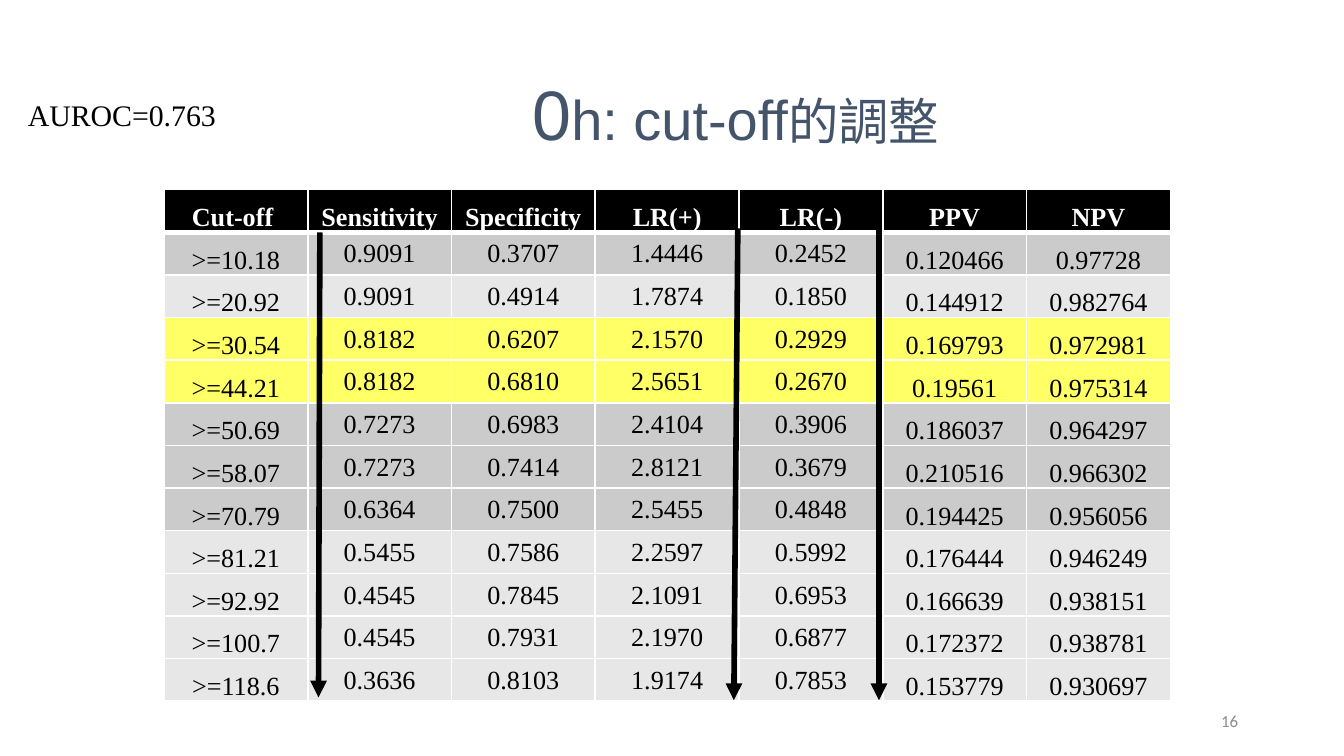
from lxml import etree
from pptx import Presentation
from pptx.dml.color import RGBColor
from pptx.enum.shapes import MSO_CONNECTOR
from pptx.enum.text import MSO_ANCHOR, PP_ALIGN
from pptx.oxml.ns import qn
from pptx.util import Inches, Pt

STRAIGHT = MSO_CONNECTOR.STRAIGHT
MIDDLE, BOTTOM, TOP = MSO_ANCHOR.MIDDLE, MSO_ANCHOR.BOTTOM, MSO_ANCHOR.TOP
LEFT, CENTER, RIGHT = PP_ALIGN.LEFT, PP_ALIGN.CENTER, PP_ALIGN.RIGHT

# Content
TITLE = [("0", 37.5), ("h: cut-off", 30), ("的調整", 27)]
NOTE = "AUROC=0.763"
PAGE_NUMBER = "16"
HEADER = ("Cut-off ", "Sensitivity", "Specificity", "LR(+)", "LR(-)", "PPV", "NPV")
# Each row: its shade, then its values
ROWS = [
    ("dark", ">=10.18", "0.9091", "0.3707", "1.4446", "0.2452", "0.120466", "0.97728"),
    ("light", ">=20.92", "0.9091", "0.4914", "1.7874", "0.1850", "0.144912", "0.982764"),
    ("marked", ">=30.54", "0.8182", "0.6207", "2.1570", "0.2929", "0.169793", "0.972981"),
    ("marked", ">=44.21", "0.8182", "0.6810", "2.5651", "0.2670", "0.19561", "0.975314"),
    ("dark", ">=50.69", "0.7273", "0.6983", "2.4104", "0.3906", "0.186037", "0.964297"),
    ("dark", ">=58.07", "0.7273", "0.7414", "2.8121", "0.3679", "0.210516", "0.966302"),
    ("dark", ">=70.79", "0.6364", "0.7500", "2.5455", "0.4848", "0.194425", "0.956056"),
    ("light", ">=81.21", "0.5455", "0.7586", "2.2597", "0.5992", "0.176444", "0.946249"),
    ("light", ">=92.92", "0.4545", "0.7845", "2.1091", "0.6953", "0.166639", "0.938151"),
    ("light", ">=100.7", "0.4545", "0.7931", "2.1970", "0.6877", "0.172372", "0.938781"),
    ("light", ">=118.6", "0.3636", "0.8103", "1.9174", "0.7853", "0.153779", "0.930697"),
]
MIDDLE_COLUMNS = range(1, 5)  # body cells centred vertically; the rest sit low
TREND_ARROWS = [((2.38, 1.73), (2.37, 5.19)),
                ((5.49, 1.70), (5.46, 5.21)),
                ((6.54, 1.71), (6.54, 5.21))]

# Theme and layout
THEME = {
    "black": "000000", "white": "FFFFFF", "title": "44546A", "number": "8C8C8C",
    "dark": "CBCBCB", "light": "E7E7E7", "marked": "FFFF66",
    "sans": "Arial", "serif": "Times New Roman", "small": "Calibri",
    "cell_size": 14, "note_size": 16, "number_size": 9,
}
PAGE_WIDTH = Inches(10)
PAGE_HEIGHT = PAGE_WIDTH * 9 // 16
TABLE_BOX = (1.22, 1.41, 7.49, 3.81)
TITLE_BOX = (2.24, 0.29, 6.47, 1.09)
NOTE_BOX = (0.11, 0.67, 1.64, 0.37)
NUMBER_BOX = (7.06, 5.21, 2.25, 0.3)
CELL_MARGINS = {"margin_left": 0.01, "margin_right": 0.01,
                "margin_top": 0.01, "margin_bottom": 0}


def color(name):
    return RGBColor.from_string(THEME[name])


def add_span(para, text, size, font, tint, bold=False):
    span = para.add_run()
    span.text = text
    formats = {"size": Pt(size), "name": THEME[font], "bold": bold}
    for name, value in formats.items():
        setattr(span.font, name, value)
    span.font.color.rgb = color(tint)


def add_label(page, box, text, size, font, tint, align, anchor):
    frame = page.shapes.add_textbox(*map(Inches, box)).text_frame
    frame.word_wrap = True
    frame.vertical_anchor = anchor
    frame.paragraphs[0].alignment = align
    add_span(frame.paragraphs[0], text, size, font, tint)


def add_borders(cell, widths):
    properties = cell._tc.get_or_add_tcPr()
    for side, width in widths.items():
        line = etree.SubElement(properties, qn(f"a:ln{side}"), w=str(Pt(width)))
        fill = etree.SubElement(line, qn("a:solidFill"))
        etree.SubElement(fill, qn("a:srgbClr"), val=THEME["white"])


def fill_cell(cell, text, shade, tint, bold, anchor, borders):
    for name, value in CELL_MARGINS.items():
        setattr(cell, name, Inches(value))
    cell.vertical_anchor = anchor
    add_borders(cell, borders)
    cell.fill.solid()
    cell.fill.fore_color.rgb = color(shade)
    para = cell.text_frame.paragraphs[0]
    para.alignment = CENTER
    add_span(para, text, THEME["cell_size"], "serif", tint, bold)


def add_cutoff_table(page):
    lines = [("black", *HEADER), *ROWS]
    box = [Inches(value) for value in TABLE_BOX]
    table = page.shapes.add_table(len(lines), len(HEADER), *box).table
    for column in table.columns:
        column.width = box[2] // len(HEADER)
    for row in table.rows:
        row.height = box[3] // len(lines)
    for row, (shade, *values) in enumerate(lines):
        is_header = row == 0
        # A thick rule separates the header from the body
        borders = {"L": 1, "R": 1, "T": 3 if row == 1 else 1, "B": 3 if is_header else 1}
        for column, text in enumerate(values):
            centred = not is_header and column in MIDDLE_COLUMNS
            fill_cell(table.cell(row, column), text, shade,
                      "white" if is_header else "black", is_header,
                      MIDDLE if centred else BOTTOM, borders)


def add_arrow(page, start, end):
    arrow = page.shapes.add_connector(STRAIGHT, *map(Inches, (*start, *end)))
    arrow.line.color.rgb = color("black")
    arrow.line.width = Pt(3)
    etree.SubElement(arrow.line._get_or_add_ln(), qn("a:tailEnd"), type="triangle")
    etree.SubElement(arrow._element.spPr, qn("a:effectLst"))


def add_title(page):
    title = page.shapes.title
    for name, value in zip(("left", "top", "width", "height"), TITLE_BOX):
        setattr(title, name, Inches(value))
    title.text_frame.vertical_anchor = MIDDLE
    para = title.text_frame.paragraphs[0]
    para.alignment = CENTER
    for text, size in TITLE:
        add_span(para, text, size, "sans", "title")


def main():
    deck = Presentation()
    deck.slide_width, deck.slide_height = PAGE_WIDTH, PAGE_HEIGHT
    page = deck.slides.add_slide(deck.slide_layouts[5])  # title only
    add_title(page)
    add_label(page, NUMBER_BOX, PAGE_NUMBER, THEME["number_size"], "small",
              "number", RIGHT, MIDDLE)
    add_cutoff_table(page)
    for start, end in TREND_ARROWS:
        add_arrow(page, start, end)
    add_label(page, NOTE_BOX, NOTE, THEME["note_size"], "serif", "black", LEFT, TOP)
    deck.save("out.pptx")


if __name__ == "__main__":
    main()
